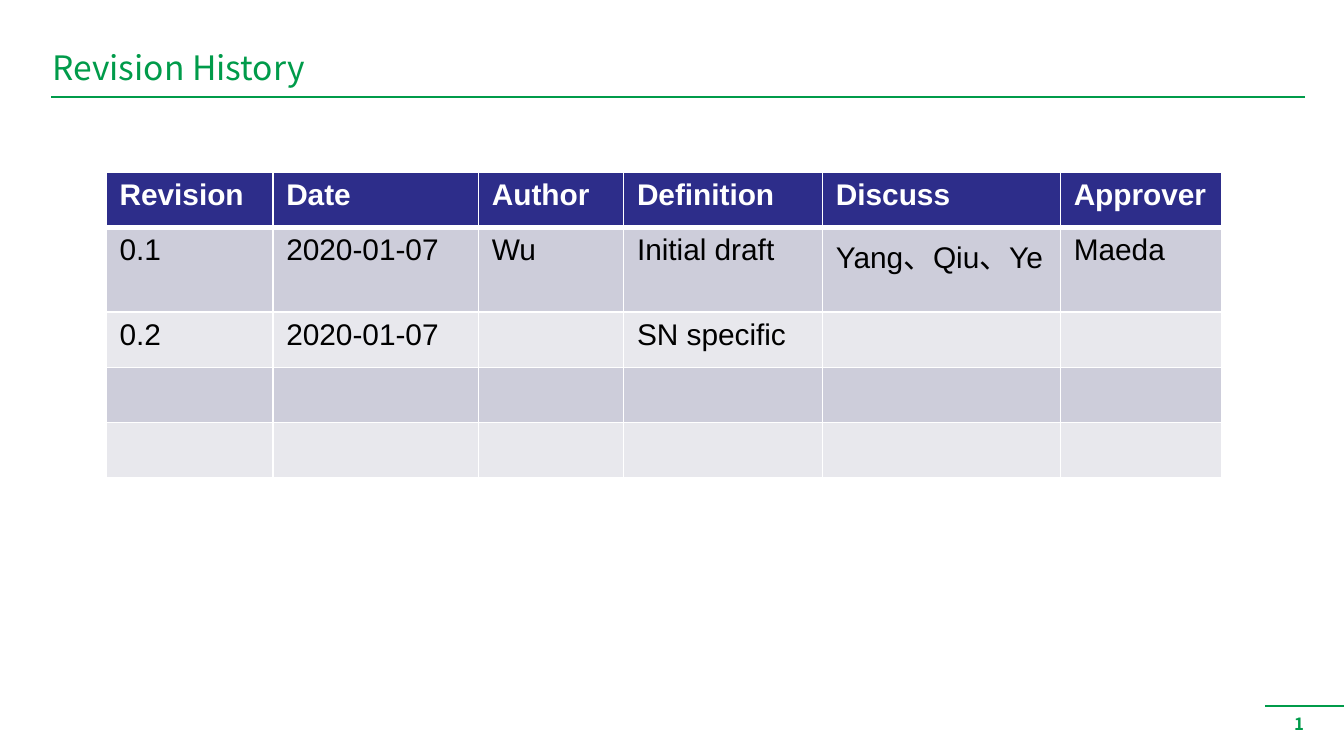
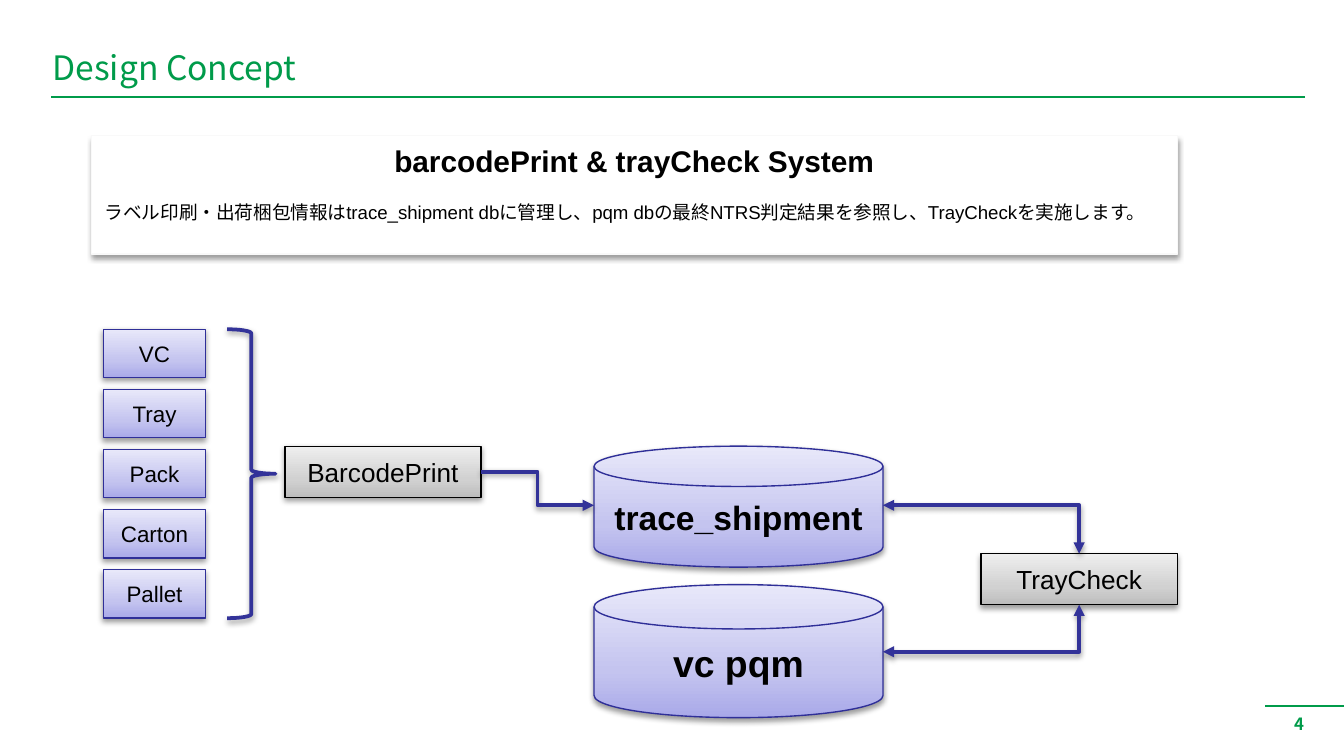
from dataclasses import dataclass
from typing import Any

from lxml import etree
from pptx import Presentation
from pptx.dml.color import RGBColor
from pptx.enum import shapes, text
from pptx.oxml import ns
from pptx.util import Inches, Pt

# Shared style
GREEN = RGBColor(0x00, 0x9B, 0x4A)
NAVY = RGBColor(0x2D, 0x2D, 0x8A)
INDIGO = RGBColor(0x2F, 0x2F, 0x98)
LINK_BLUE = RGBColor(0x33, 0x33, 0x99)
BAND_DARK = RGBColor(0xCD, 0xCD, 0xDA)
BAND_LIGHT = RGBColor(0xE8, 0xE8, 0xED)
PANEL_EDGE = RGBColor(0xF9, 0xF9, 0xF9)
WHITE = RGBColor(0xFF, 0xFF, 0xFF)
BLACK = RGBColor(0x00, 0x00, 0x00)
BLUE_FADE = (RGBColor(0xA9, 0xA9, 0xE9), RGBColor(0xC4, 0xC4, 0xEF), RGBColor(0xE8, 0xE8, 0xFA))
GRAY_FADE = (RGBColor(0xBD, 0xBD, 0xBD), RGBColor(0xD1, 0xD1, 0xD1), RGBColor(0xEE, 0xEE, 0xEE))
FADE_STOPS = (0, 35, 100)
BODY_FONT = "Arial"
TITLE_FONT = "Noto Sans CJK JP"
TITLE_ONLY = 5

RECT = shapes.MSO_SHAPE.RECTANGLE
DISK = shapes.MSO_SHAPE.FLOWCHART_MAGNETIC_DISK


@dataclass
class Node:
    """A labelled box or database in the diagram."""
    label: str
    left: float
    top: float
    width: float
    height: float
    size: float
    kind: Any = RECT
    fade: tuple = BLUE_FADE
    edge: RGBColor = INDIGO
    bold: bool = False


@dataclass
class Link:
    """An elbow arrow; a single bend leaves sideways and arrives vertically."""
    start: tuple[float, float]
    end: tuple[float, float]
    single_bend: bool = True
    both_ways: bool = True


# Helpers
def add_child(parent: Any, tag: str, **attributes: str) -> Any:
    return etree.SubElement(parent, ns.qn(tag), attributes)


def format_text(para: Any, size: float, color: RGBColor, bold: bool = False,
                font: str = BODY_FONT) -> None:
    for span in para.runs:
        span.font.name = font
        span.font.size = Pt(size)
        span.font.bold = bold
        span.font.color.rgb = color


def set_effects(item: Any, shadow: bool) -> None:
    """Close the shape properties with a soft shadow or with no effect."""
    effects = add_child(item._element.spPr, "a:effectLst")
    if shadow:
        outer = add_child(effects, "a:outerShdw", blurRad=str(Pt(3.1)), dist=str(Pt(1.6)),
                          dir="5400000", rotWithShape="0")
        color = add_child(outer, "a:srgbClr", val=str(BLACK))
        add_child(color, "a:alpha", val="38000")


def set_line(item: Any, color: RGBColor, width: float) -> None:
    item.line.color.rgb = color
    item.line.width = Pt(width)


def set_fade(box: Any, colors: tuple) -> None:
    """Fade from the first colour at the bottom to the last at the top."""
    box.fill.gradient()
    box.fill.gradient_angle = 90
    stops = box._element.spPr.find(".//" + ns.qn("a:gsLst"))
    for stop in list(stops):
        stops.remove(stop)
    for position, color in zip(FADE_STOPS, colors):
        stop = add_child(stops, "a:gs", pos=str(position * 1000))
        add_child(stop, "a:srgbClr", val=str(color))


def add_rule(page: Any, left: float, right: float, top: float) -> None:
    rule = page.shapes.add_connector(shapes.MSO_CONNECTOR.STRAIGHT, Inches(right), Inches(top),
                                     Inches(left), Inches(top))
    set_line(rule, GREEN, 1)
    set_effects(rule, shadow=False)


def add_page(deck: Any, title: str, number: int) -> Any:
    """Add a slide with its title, rules and page number."""
    page = deck.slides.add_slide(deck.slide_layouts[TITLE_ONLY])
    heading = page.shapes.title
    heading.left, heading.top = Inches(0.29), Inches(0.33)
    heading.width, heading.height = Inches(7.66), Inches(0.37)
    frame = heading.text_frame
    frame.text = title
    frame.auto_size = text.MSO_AUTO_SIZE.NONE
    frame.vertical_anchor = text.MSO_ANCHOR.BOTTOM
    frame.paragraphs[0].alignment = text.PP_ALIGN.LEFT
    format_text(frame.paragraphs[0], 18, GREEN, font=TITLE_FONT)

    add_rule(page, 0.38, 9.71, 0.72)
    add_rule(page, 9.41, 10, 5.25)
    footer = page.shapes.add_textbox(Inches(9.41), Inches(5.26), Inches(0.8), Inches(0.5))
    footer.text_frame.word_wrap = True
    footer.text_frame.margin_left = Inches(0.22)
    footer.text_frame.text = str(number)
    format_text(footer.text_frame.paragraphs[0], 9, GREEN, True, TITLE_FONT)
    return page


def set_borders(cell: Any, top: float, bottom: float) -> None:
    properties = cell._tc.get_or_add_tcPr()
    for tag, width in (("a:lnL", 1), ("a:lnR", 1), ("a:lnT", top), ("a:lnB", bottom)):
        border = add_child(properties, tag, w=str(Pt(width)))
        add_child(add_child(border, "a:solidFill"), "a:srgbClr", val=str(WHITE))


def add_history(page: Any, rows: list[tuple], widths: list[float]) -> None:
    """Add the revision table: a dark header over banded rows."""
    row_height = Inches(0.41)
    table = page.shapes.add_table(len(rows), len(widths), Inches(0.79), Inches(1.28),
                                  Inches(sum(widths)), row_height * len(rows)).table
    for column, width in zip(table.columns, widths):
        column.width = Inches(width)
    for i, row in enumerate(rows):
        header = i == 0
        table.rows[i].height = row_height
        for j, value in enumerate(row):
            cell = table.cell(i, j)
            set_borders(cell, top=3 if i == 1 else 1, bottom=3 if header else 1)
            cell.fill.solid()
            cell.fill.fore_color.rgb = NAVY if header else BAND_DARK if i % 2 else BAND_LIGHT
            if value:
                cell.text_frame.text = value
                format_text(cell.text_frame.paragraphs[0], 16, WHITE if header else BLACK, header)


def add_shape(page: Any, kind: Any, left: float, top: float, width: float, height: float) -> Any:
    return page.shapes.add_shape(kind, Inches(left), Inches(top), Inches(width), Inches(height))


def add_node(page: Any, node: Node) -> None:
    box = add_shape(page, node.kind, node.left, node.top, node.width, node.height)
    set_fade(box, node.fade)
    set_line(box, node.edge, 0.75)
    set_effects(box, shadow=True)
    frame = box.text_frame
    frame.text = node.label
    frame.vertical_anchor = text.MSO_ANCHOR.MIDDLE
    frame.paragraphs[0].alignment = text.PP_ALIGN.CENTER
    format_text(frame.paragraphs[0], node.size, BLACK, node.bold)


def add_link(page: Any, link: Link) -> None:
    ends = [Inches(value) for value in (*link.start, *link.end)]
    arrow = page.shapes.add_connector(shapes.MSO_CONNECTOR.ELBOW, *ends)
    if link.single_bend:
        arrow._element.spPr.find(ns.qn("a:prstGeom")).set("prst", "bentConnector2")
    set_line(arrow, LINK_BLUE, 2)
    outline = arrow._element.spPr.find(ns.qn("a:ln"))
    if link.both_ways:
        add_child(outline, "a:headEnd", type="triangle")
    add_child(outline, "a:tailEnd", type="triangle")
    set_effects(arrow, shadow=True)


def add_summary(page: Any, heading: str, body: str) -> None:
    panel = add_shape(page, RECT, 0.68, 1.01, 8.08, 0.88)
    panel.fill.solid()
    panel.fill.fore_color.rgb = WHITE
    set_line(panel, PANEL_EDGE, 0.75)
    set_effects(panel, shadow=True)
    frame = panel.text_frame
    frame.vertical_anchor = text.MSO_ANCHOR.TOP
    frame.margin_right = Inches(0.1)
    frame.text = heading
    first, second = frame.paragraphs[0], frame.add_paragraph()
    first.alignment = text.PP_ALIGN.CENTER
    format_text(first, 16, BLACK, True)
    second.text = body
    second.alignment = text.PP_ALIGN.LEFT
    second.space_before = Pt(12)
    format_text(second, 10, BLACK)
    # Keep the closing mark inside the panel instead of hanging past the margin
    second._p.get_or_add_pPr().set("hangingPunct", "0")


# Widescreen deck
deck = Presentation()
deck.slide_width = Inches(10)
deck.slide_height = deck.slide_width * 9 // 16

# Revision history
history = add_page(deck, "Revision History", 1)
add_history(history, [
    ("Revision", "Date", "Author", "Definition", "Discuss", "Approver"),
    ("0.1", "2020-01-07", "Wu", "Initial draft", "Yang、Qiu、Ye", "Maeda"),
    ("0.2", "2020-01-07", "", "SN specific", "", ""),
    ("",) * 6,
    ("",) * 6,
], [1.24, 1.53, 1.08, 1.48, 1.77, 1.2])

# Design concept
concept = add_page(deck, "Design Concept", 4)
add_summary(concept, "barcodePrint & trayCheck System",
            "ラベル印刷・出荷梱包情報はtrace_shipment dbに管理し、pqm dbの最終NTRS判定結果を参照し、"
            "TrayCheckを実施します。")

# Packing levels, spread evenly along the brace
LEVELS = ("VC", "Tray", "Pack", "Carton", "Pallet")
STACK_TOP, STACK_HEIGHT, LEVEL_HEIGHT = 2.45, 2.15, 0.36
level_step = (STACK_HEIGHT - LEVEL_HEIGHT) / (len(LEVELS) - 1)
for index, level in enumerate(LEVELS):
    add_node(concept, Node(level, 0.77, STACK_TOP + index * level_step, 0.76, LEVEL_HEIGHT, 12))
brace = add_shape(concept, shapes.MSO_SHAPE.RIGHT_BRACE, 1.69, STACK_TOP, 0.36, STACK_HEIGHT)
brace.fill.background()
set_line(brace, LINK_BLUE, 2)
set_effects(brace, shadow=True)

# Programs, databases and the links between them
for node in (
    Node("BarcodePrint", 2.12, 3.32, 1.46, 0.38, 14, fade=GRAY_FADE, edge=BLACK),
    Node("TrayCheck", 7.3, 4.12, 1.46, 0.38, 14, fade=GRAY_FADE, edge=BLACK),
    Node("trace_shipment", 4.42, 3.32, 2.15, 0.9, 18, kind=DISK, bold=True),
    Node("vc pqm", 4.42, 4.35, 2.15, 0.99, 20, kind=DISK, bold=True),
):
    add_node(concept, node)
for link in (
    Link((3.58, 3.51), (4.42, 3.76), single_bend=False, both_ways=False),
    Link((6.57, 3.76), (8.03, 4.12)),
    Link((6.57, 4.85), (8.03, 4.5)),
):
    add_link(concept, link)

deck.save("out.pptx")
